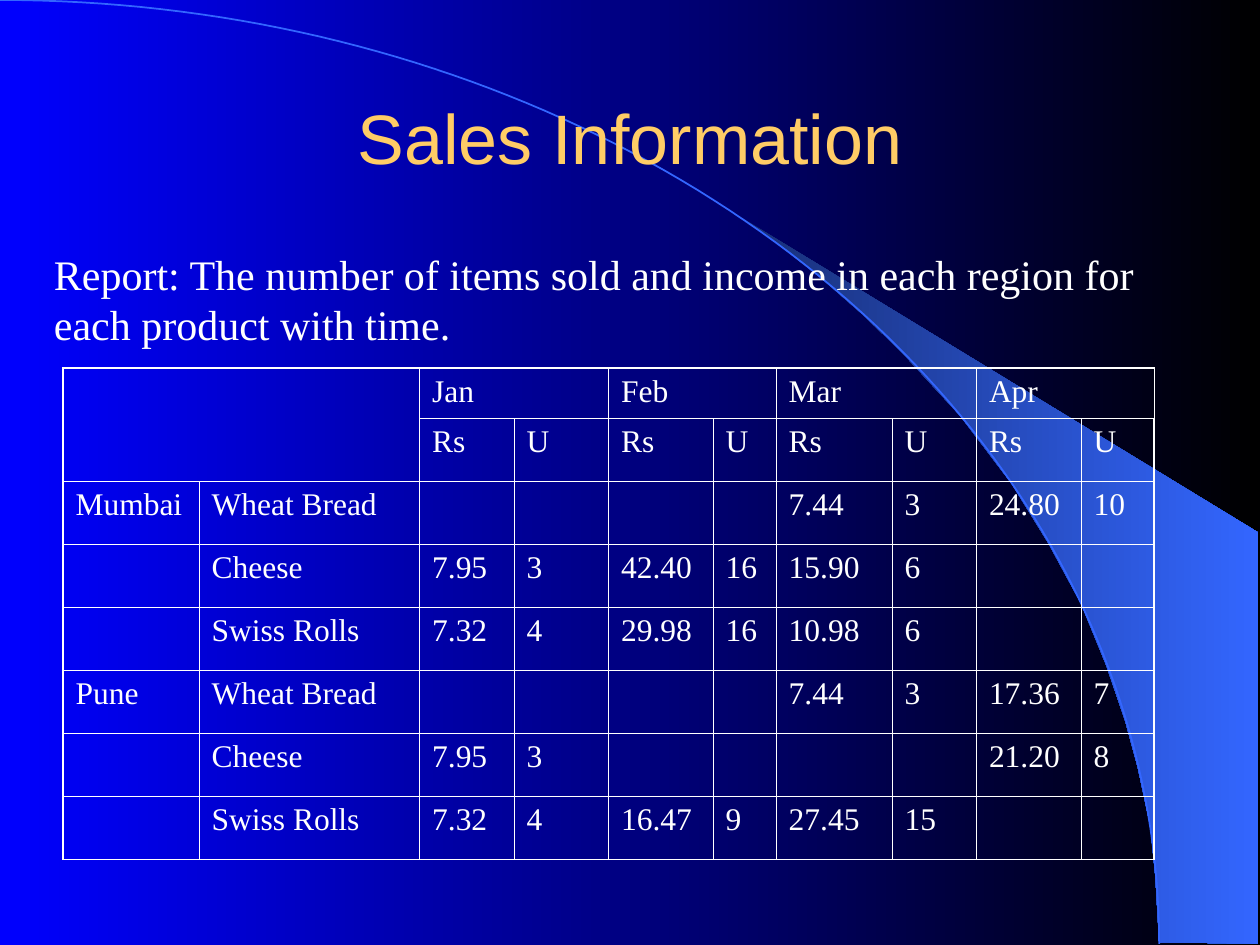
import math

import lxml.etree
import pptx
import pptx.dml.color
import pptx.enum.text
import pptx.oxml.ns
import pptx.util

Inches, Pt = pptx.util.Inches, pptx.util.Pt

COLORS = {
    "blue": "0000FF",
    "black": "000000",
    "navy": "182F76",
    "sky": "3366FF",
    "gold": "FFCC66",
    "white": "FFFFFF",
}
THIN, THICK = Pt(0.45), Pt(1.08)

# Beam outline: three outer corners, then the curved inner edge
BEAM = [
    (9.2, 7.48), (9.99, 7.49), (9.99, 4.23), (5.89, 1.73), (6.24, 1.99),
    (6.53, 2.22), (6.85, 2.5), (7.16, 2.8), (7.62, 3.3), (8.03, 3.84),
    (8.32, 4.31), (8.58, 4.79), (8.78, 5.28), (8.93, 5.72), (9.03, 6.09),
    (9.13, 6.56), (9.17, 6.96),
]

COLUMN_WIDTHS = [1.08, 1.75, 0.75, 0.75, 0.83, 0.5, 0.92, 0.67, 0.83, 0.58]
ROW_HEIGHTS = [0.4] + [0.5] * 7
MONTHS = ["Jan", "Feb", "Mar", "Apr"]
SALES = [
    ["Mumbai", "Wheat Bread", "", "", "", "", "7.44", "3", "24.80", "10"],
    ["", "Cheese", "7.95", "3", "42.40", "16", "15.90", "6", "", ""],
    ["", "Swiss Rolls", "7.32", "4", "29.98", "16", "10.98", "6", "", ""],
    ["Pune", "Wheat Bread", "", "", "", "", "7.44", "3", "17.36", "7"],
    ["", "Cheese", "7.95", "3", "", "", "", "", "21.20", "8"],
    ["", "Swiss Rolls", "7.32", "4", "16.47", "9", "27.45", "15", "", ""],
]


def color(name):
    return pptx.dml.color.RGBColor.from_string(COLORS[name])


def set_gradient(fill, start, end):
    fill.gradient()
    fill.gradient_angle = 0
    for stop, name, position in zip(fill.gradient_stops, (start, end), (0, 1)):
        stop.color.rgb = color(name)
        stop.position = position


def format_text(frame, size, font, name):
    for paragraph in frame.paragraphs:
        for span in paragraph.runs:
            span.font.size = Pt(size)
            span.font.name = font
            span.font.color.rgb = color(name)


def add_outline(page, points, close):
    corners = [(Inches(x), Inches(y)) for x, y in points]
    builder = page.shapes.build_freeform(*corners[0])
    builder.add_line_segments(corners[1:], close=close)
    shape = builder.convert_to_shape()
    shape.shadow.inherit = False
    return shape


def add_backdrop(page, left, top, width, height):
    set_gradient(page.background.fill, "blue", "black")

    # Light beam
    beam = add_outline(page, [(left + x, top + y) for x, y in BEAM], True)
    set_gradient(beam.fill, "navy", "sky")
    beam.line.fill.background()

    # Quarter of an ellipse from the top left corner to the bottom
    steps = 90
    angles = [math.pi / 2 * step / steps for step in range(steps + 1)]
    curve = [(left + width * math.sin(angle),
              top + height * (1 - math.cos(angle))) for angle in angles]
    arc = add_outline(page, curve, False)
    arc.fill.background()
    arc.line.color.rgb = color("sky")
    arc.line.width = Pt(1)


def add_text(page, left, top, width, height, text, size, font, name):
    box = page.shapes.add_textbox(
        Inches(left), Inches(top), Inches(width), Inches(height))
    box.text_frame.word_wrap = True
    box.text_frame.text = text
    format_text(box.text_frame, size, font, name)
    return box


def add_title(page, left, top, width, height):
    box = add_text(page, left, top, width, height,
                   "Sales Information", 40, "Arial", "gold")
    box.text_frame.vertical_anchor = pptx.enum.text.MSO_ANCHOR.MIDDLE
    box.text_frame.paragraphs[0].alignment = pptx.enum.text.PP_ALIGN.CENTER


def add_report(page, left, top, width, height):
    text = ("Report: The number of items sold and income in each region for\n"
            "each product with time.")
    add_text(page, left, top, width, height, text, 24, "Times New Roman", "white")


def set_borders(cell, outer_sides):
    properties = cell._tc.get_or_add_tcPr()
    for side in "LRTB":
        width = THICK if side in outer_sides else THIN
        line = lxml.etree.SubElement(
            properties, pptx.oxml.ns.qn("a:ln" + side), w=str(int(width)))
        fill = lxml.etree.SubElement(line, pptx.oxml.ns.qn("a:solidFill"))
        lxml.etree.SubElement(
            fill, pptx.oxml.ns.qn("a:srgbClr"), val=COLORS["white"])


def add_sales_table(page, left, top, width, height):
    months = [text for month in MONTHS for text in (month, "")]
    rows = [["", ""] + months, ["", ""] + ["Rs", "U"] * len(MONTHS)] + SALES
    last_row, last_column = len(rows) - 1, len(COLUMN_WIDTHS) - 1
    table = page.shapes.add_table(
        len(rows), len(COLUMN_WIDTHS), Inches(left), Inches(top),
        Inches(width), Inches(height)).table
    table.first_row = table.horz_banding = False
    for column, size in zip(table.columns, COLUMN_WIDTHS):
        column.width = Inches(size)
    for row, size in zip(table.rows, ROW_HEIGHTS):
        row.height = Inches(size)

    # Cells, with a heavier line around the whole table
    for r, values in enumerate(rows):
        for c, value in enumerate(values):
            cell = table.cell(r, c)
            cell.text_frame.text = value
            format_text(cell.text_frame, 18, "Times New Roman", "white")
            edges = {"L": c == 0, "R": c == last_column,
                     "T": r == 0, "B": r == last_row}
            set_borders(cell, [side for side in edges if edges[side]])
            cell.fill.background()

    # Empty corner and month headings
    table.cell(0, 0).merge(table.cell(1, 1))
    for c in range(2, last_column, 2):
        table.cell(0, c).merge(table.cell(0, c + 1))


def main():
    deck = pptx.Presentation()
    deck.slide_width, deck.slide_height = Inches(10), Inches(7.5)
    page = deck.slides.add_slide(deck.slide_layouts[6])
    add_backdrop(page, 0, 0, 9.2, 7.49)
    add_title(page, 0.75, 0.67, 8.5, 0.83)
    add_report(page, 0.33, 1.92, 8.86, 0.9)
    add_sales_table(page, 0.5, 2.92, sum(COLUMN_WIDTHS), sum(ROW_HEIGHTS))
    deck.save("out.pptx")


if __name__ == "__main__":
    main()
